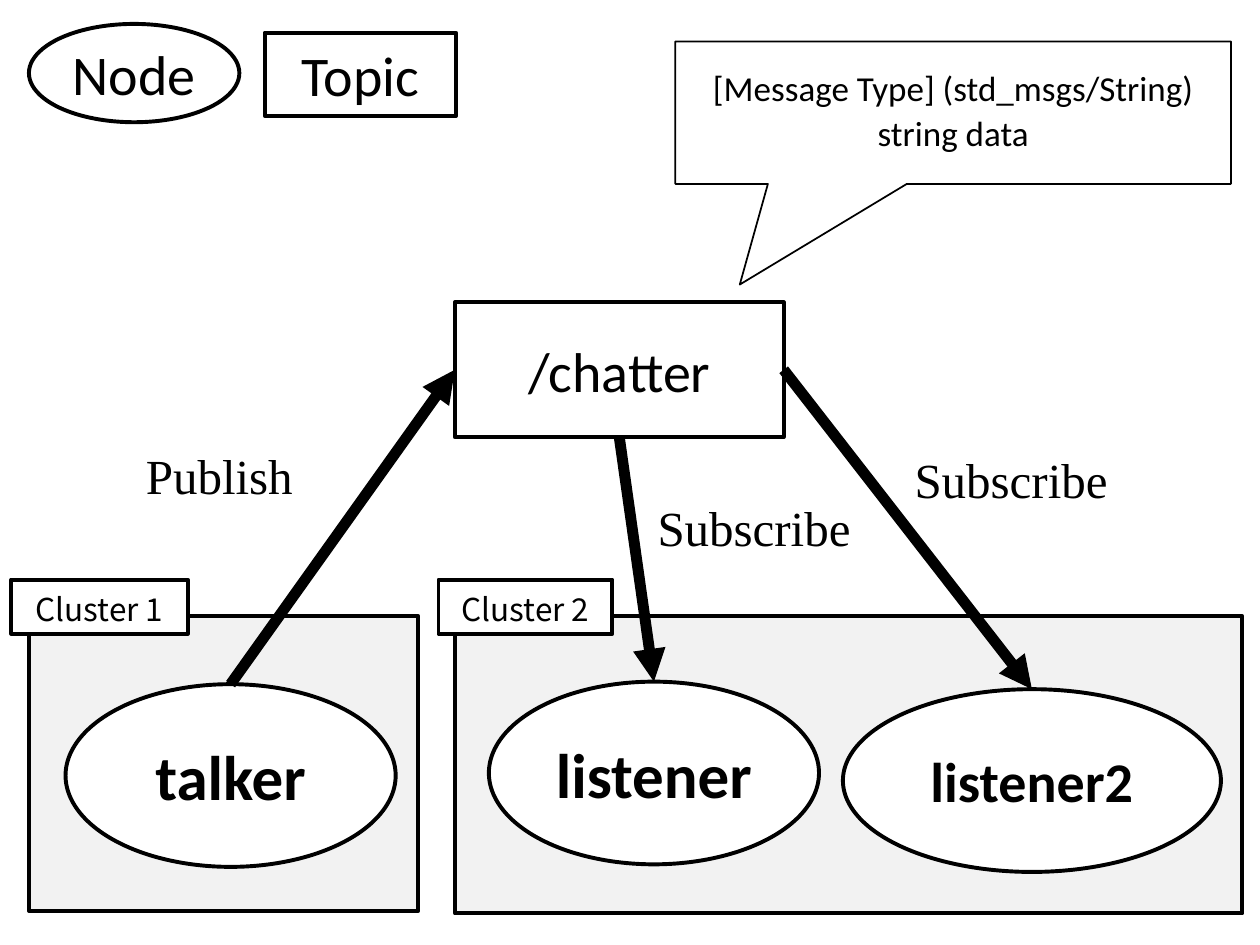
from pptx import Presentation, util as u
from pptx.dml.color import RGBColor
from pptx.enum import shapes, text
from pptx.oxml.ns import qn
from lxml import etree

COLORS = {"ink": "000000", "paper": "FFFFFF", "cluster": "F2F2F2"}
KINDS = {
    "node": shapes.MSO_SHAPE.OVAL,
    "topic": shapes.MSO_SHAPE.RECTANGLE,
    "callout": shapes.MSO_SHAPE.RECTANGULAR_CALLOUT,
}
OUTLINE, CALLOUT_OUTLINE, ARROW_WIDTH = 2.25, 1, 6.25

# Places are left, top, width, height in inches.
CLUSTERS = [(0.23, 4.89, 3.09, 2.34), (3.61, 4.89, 6.25, 2.36)]
MESSAGE = ["[Message Type] (std_msgs/String)", "string data"]
MESSAGE_PLACE = (5.36, 0.33, 4.41, 1.13)
MESSAGE_TAIL = (-0.384, 1.207)
GRAPH = [  # kind, wording, place, text size, bold
    ("node", "talker", (0.52, 5.43, 2.62, 1.45), 36, True),
    ("topic", "/chatter", (3.61, 2.4, 2.61, 1.07), 32, False),
    ("node", "listener2", (6.69, 5.47, 3, 1.45), 32, True),
    ("node", "listener", (3.88, 5.41, 2.62, 1.45), 36, True),
    ("node", "Node", (0.23, 0.19, 1.67, 0.78), 32, False),
    ("topic", "Topic", (2.1, 0.26, 1.52, 0.66), 32, False),
]
TOP, LEFT, BOTTOM, RIGHT = range(4)
ARROWS = [  # source, side, target, side
    ("talker", TOP, "/chatter", LEFT),
    ("/chatter", RIGHT, "listener2", TOP),
    ("/chatter", BOTTOM, "listener", TOP),
]
CLUSTER_LABELS = [
    ("Cluster 1", (0.09, 4.6, 1.4, 0.43)),
    ("Cluster 2", (3.48, 4.6, 1.38, 0.43)),
]
ARROW_LABELS = [
    ("Subscribe", (5.12, 3.9, 1.75, 0.57)),
    ("Publish", (1.06, 3.49, 1.38, 0.57)),
    ("Subscribe", (7.16, 3.52, 1.75, 0.57)),
]


def color(name):
    return RGBColor.from_string(COLORS[name])


def inches(values):
    return [u.Inches(value) for value in values]


def write(box, lines, size, font="Calibri", bold=False,
          align=text.PP_ALIGN.CENTER, **paragraph_format):
    for index, line in enumerate(lines):
        frame = box.text_frame
        para = frame.paragraphs[0] if index == 0 else frame.add_paragraph()
        for name, value in {"alignment": align, **paragraph_format}.items():
            setattr(para, name, value)
        span = para.add_run()
        span.text = line
        for name, value in {"name": font, "size": u.Pt(size), "bold": bold}.items():
            setattr(span.font, name, value)
        span.font.color.rgb = color("ink")


def add_box(page, kind, place, fill="paper", outline=OUTLINE):
    box = page.shapes.add_shape(KINDS[kind], *inches(place))
    box.shadow.inherit = False
    box.fill.solid()
    box.fill.fore_color.rgb = color(fill)
    box.line.color.rgb = color("ink")
    box.line.width = u.Pt(outline)
    box.text_frame.word_wrap = True
    box.text_frame.vertical_anchor = text.MSO_ANCHOR.MIDDLE
    return box


def add_arrow(page, source, source_side, target, target_side):
    arrow = page.shapes.add_connector(shapes.MSO_CONNECTOR.STRAIGHT, 0, 0, 0, 0)
    arrow.begin_connect(source, source_side)
    arrow.end_connect(target, target_side)
    arrow.line.color.rgb = color("ink")
    arrow.line.width = u.Pt(ARROW_WIDTH)
    properties = arrow._element.spPr
    etree.SubElement(properties.find(qn("a:ln")), qn("a:tailEnd"), type="triangle")
    etree.SubElement(properties, qn("a:effectLst"))


def main():
    deck = Presentation()
    deck.slide_width, deck.slide_height = inches((10, 7.5))
    page = deck.slides.add_slide(deck.slide_layouts[6])

    for place in CLUSTERS:
        add_box(page, "topic", place, fill="cluster")

    callout = add_box(page, "callout", MESSAGE_PLACE, outline=CALLOUT_OUTLINE)
    for index, offset in enumerate(MESSAGE_TAIL):
        callout.adjustments[index] = offset
    write(callout, MESSAGE, 20, line_spacing=0.9, space_before=u.Pt(4))

    boxes = {}
    for kind, wording, place, size, bold in GRAPH:
        boxes[wording] = add_box(page, kind, place)
        write(boxes[wording], [wording], size, bold=bold)

    for source, source_side, target, target_side in ARROWS:
        add_arrow(page, boxes[source], source_side, boxes[target], target_side)

    for wording, place in CLUSTER_LABELS:
        label = add_box(page, "topic", place)
        label.text_frame.margin_top = u.Inches(0.08)
        write(label, [wording], 18, font="Noto Sans CJK JP")

    for wording, place in ARROW_LABELS:
        label = page.shapes.add_textbox(*inches(place))
        label.text_frame.word_wrap = False
        label.text_frame.auto_size = text.MSO_AUTO_SIZE.SHAPE_TO_FIT_TEXT
        write(label, [wording], 28, font="Times New Roman", align=text.PP_ALIGN.LEFT)

    deck.save("out.pptx")


if __name__ == "__main__":
    main()
